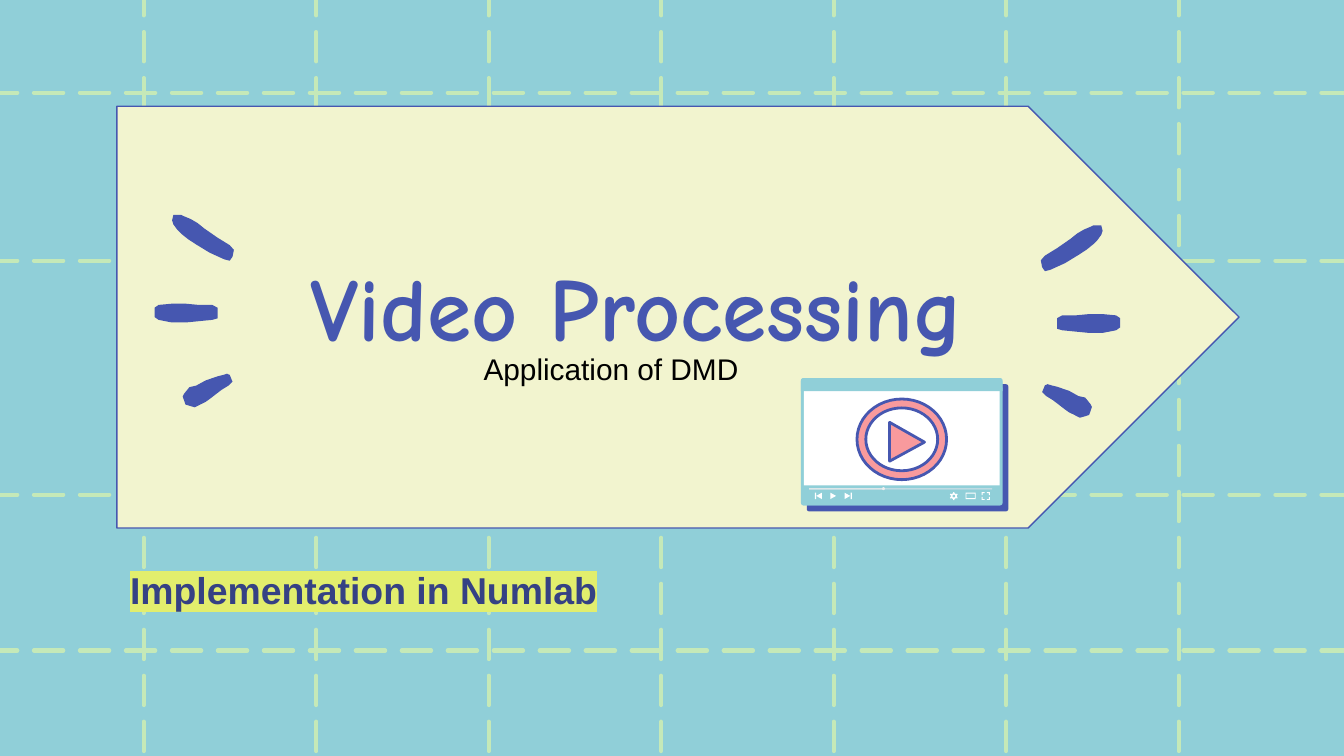
import lxml.etree
import pptx
import pptx.dml.color
import pptx.enum.dml
import pptx.enum.shapes
import pptx.enum.text
import pptx.oxml.ns
import pptx.util

Pt = pptx.util.Pt
SHAPE = pptx.enum.shapes.MSO_SHAPE
ALIGN = pptx.enum.text.PP_ALIGN
ANCHOR = pptx.enum.text.MSO_ANCHOR
qn = pptx.oxml.ns.qn

SKY, MINT, CREAM, INDIGO = "90CFD8", "C5E9B8", "F2F4CF", "4657B0"
PINK, WHITE, PALE = "F89A9D", "FFFFFF", "EEEEEE"

# Brush strokes on the left of the title; the right side mirrors them.
STROKES = [
    [(10.1, 0), (9.4, 2.9), (10.1, 5), (12.2, 7.9), (14.4, 10.1), (18, 13),
     (22.3, 15.8), (29.5, 20.2), (37.4, 23.8), (40.3, 24.5), (41.8, 22.3),
     (42.5, 18.7), (40.3, 16.2), (33.8, 12.2), (26.6, 7.2), (23, 4.3),
     (19.4, 2.2), (15.8, 0.7), (14.4, 0)],
    [(9.4, 47.5), (2.2, 48.2), (0, 49.7), (0, 54.7), (2.2, 56.2), (9.4, 57.6),
     (16.6, 57.6), (23.8, 56.9), (31, 56.2), (33.8, 55.4), (33.8, 49.7),
     (31, 48.2), (23.8, 48.2), (16.6, 47.5)],
    [(38.9, 85), (36.7, 85.7), (33.8, 86.4), (27.4, 88.6), (22.3, 91.4),
     (18.7, 92.2), (15.8, 95.8), (15.1, 97.2), (16.6, 101.5), (18.7, 102.2),
     (21.6, 103), (24.5, 101.5), (27.4, 100.1), (29.5, 98.6), (33.1, 95.8),
     (36, 93.6), (39.6, 91.4), (41.8, 89.3), (40.3, 85.7)],
]


def paint(color_format, value):
    color_format.rgb = pptx.dml.color.RGBColor.from_string(value)


def style(shape, fill, line=None, weight=0.75):
    shape.shadow.inherit = False
    shape.fill.solid()
    paint(shape.fill.fore_color, fill)
    if line:
        paint(shape.line.color, line)
        shape.line.width = Pt(weight)
    else:
        shape.line.fill.background()
    return shape


def add_preset(parent, kind, box, fill, adjustments=(), **outline):
    shape = parent.shapes.add_shape(kind, *map(Pt, box))
    for index, value in enumerate(adjustments):
        shape.adjustments[index] = value
    return style(shape, fill, **outline)


def add_polygon(parent, origin, points, fill, **outline):
    left, top = origin
    corners = [(Pt(left + x), Pt(top + y)) for x, y in points]
    builder = parent.shapes.build_freeform(*corners[0])
    builder.add_line_segments(corners[1:], close=True)
    return style(builder.convert_to_shape(), fill, **outline)


def add_dashed_line(page, start, end):
    line = page.shapes.add_connector(
        pptx.enum.shapes.MSO_CONNECTOR.STRAIGHT, *map(Pt, start + end))
    paint(line.line.color, MINT)
    line.line.width = Pt(2.25)
    line.line.dash_style = pptx.enum.dml.MSO_LINE.LONG_DASH
    properties = line._element.spPr
    properties.find(qn("a:ln")).set("cap", "rnd")
    lxml.etree.SubElement(properties, qn("a:effectLst"))


def add_grid(page, box):
    left, top, width, height = box
    for column in range(7):
        x = 77 + 92.4 * column
        add_dashed_line(page, (x, top + height), (x, top))
    for y in (348.5, 265, 139.7, 49.7):
        add_dashed_line(page, (left + width, y), (left, y))


def add_burst(page, box, mirrored=False):
    left, top, width = box
    for stroke in STROKES:
        points = [(width - x if mirrored else x, y) for x, y in stroke]
        add_polygon(page, (left, top), points, INDIGO)


def add_text(page, box, text, size, color, font="Arial", bold=False,
             inset=7.2, align=ALIGN.LEFT, anchor=ANCHOR.TOP):
    frame = page.shapes.add_textbox(*map(Pt, box)).text_frame
    frame.word_wrap = True
    frame.vertical_anchor = anchor
    frame.margin_top = frame.margin_bottom = Pt(inset)
    frame.text = text
    para = frame.paragraphs[0]
    para.alignment = align
    span = para.runs[0]
    span.font.name = font
    span.font.size = Pt(size)
    span.font.bold = bold
    paint(span.font.color, color)
    return span


def highlight(span, value):
    mark = lxml.etree.Element(qn("a:highlight"))
    lxml.etree.SubElement(mark, qn("a:srgbClr"), val=value)
    span.font._element.find(qn("a:solidFill")).addnext(mark)


def add_hard_shadow(shape, value, distance, degrees):
    effects = shape._element.spPr.find(qn("a:effectLst"))
    shadow = lxml.etree.SubElement(
        effects, qn("a:outerShdw"), dist=str(Pt(distance)),
        dir=str(degrees * 60000), algn="bl", rotWithShape="0")
    lxml.etree.SubElement(shadow, qn("a:srgbClr"), val=value)


def add_controls(player, box):
    """Progress line and button icons, in the bar at the foot of the player."""
    left, top, width, height = box
    add_preset(player, SHAPE.RECTANGLE, box, SKY)
    add_preset(player, SHAPE.RECTANGLE, (left + 3.2, top + 1.6, 98, 0.6), "D9E2E9")
    add_preset(player, SHAPE.RECTANGLE, (left + 3.2, top + 1.6, 40, 0.6), PALE)
    add_preset(player, SHAPE.OVAL, (left + 42.2, top + 1, 1.6, 1.6), PALE)

    icon_top = top + 4
    triangle = [(0, 0), (0, 3.4), (3, 1.7)]
    for x in (14.6, 22.2):
        add_polygon(player, (left + x, icon_top), triangle, WHITE)
    add_polygon(player, (left + 10, icon_top), [(-x, y) for x, y in triangle], WHITE)
    for x in (6.3, 25.4):
        add_preset(player, SHAPE.RECTANGLE, (left + x, icon_top, 0.7, 3.4), WHITE)

    add_preset(player, SHAPE.GEAR_6, (left + 78.4, icon_top - 0.4, 4.6, 4.4), WHITE)
    add_preset(player, SHAPE.OVAL, (left + 80, icon_top + 1.1, 1.4, 1.4), SKY)
    add_preset(player, SHAPE.FRAME, (left + 87, icon_top, 5.4, 3.4), WHITE, [0.13])

    corner = [(0, 0), (1.6, 0), (1.6, 0.5), (0.5, 0.5), (0.5, 1.6), (0, 1.6)]
    for x, x_sign in ((95.6, 1), (100, -1)):
        for y, y_sign in ((-0.3, 1), (3.9, -1)):
            points = [(px * x_sign, py * y_sign) for px, py in corner]
            add_polygon(player, (left + x, icon_top + y), points, WHITE)


def add_video_player(page, box):
    left, top, width, height = box
    player = page.shapes.add_group_shape()
    body = add_preset(player, SHAPE.ROUNDED_RECTANGLE, box, SKY, [0.02])
    add_hard_shadow(body, INDIGO, 4.5, 46)
    add_preset(player, SHAPE.ROUNDED_RECTANGLE,
               (left + 1.6, top + 1, width - 3.2, height - 2.4), WHITE, [0.02])
    add_preset(player, SHAPE.ROUND_2_SAME_RECTANGLE, (left, top, width, 7), SKY, [0.2])
    add_preset(player, SHAPE.DONUT, (left + 30, top + 11.2, 48, 43.2), PINK, [0.11],
               line=INDIGO, weight=1.5)
    add_polygon(player, (left + 47.5, top + 23.7), [(0, 0), (0, 20.8), (18.7, 10.6)],
                PINK, line=INDIGO, weight=1.5)
    add_controls(player, (left + 1.2, top + height - 10.8, width - 2.4, 10.8))


def add_title_slide(deck):
    page = deck.slides.add_slide(deck.slide_layouts[6])
    page.background.fill.solid()
    paint(page.background.fill.fore_color, SKY)
    add_grid(page, (-16.6, -21.6, 740.2, 448.6))
    add_preset(page, SHAPE.PENTAGON, (62.6, 56.9, 601.2, 226), CREAM, [0.5], line=INDIGO)
    add_burst(page, (82.8, 115.2, 42.5))
    add_burst(page, (557.6, 120.8, 42.5), mirrored=True)
    caption = add_text(page, (62.6, 296.6, 488.2, 48.2), "Implementation in Numlab",
                       20, "354184", bold=True)
    highlight(caption, "E2EE6D")
    add_text(page, (124.6, 56.9, 432.7, 213.8), "Video Processing", 48, INDIGO,
             font="Comic Neue", bold=True, align=ALIGN.CENTER, anchor=ANCHOR.MIDDLE)
    add_text(page, (252, 184.3, 216, 26.6), "Application of DMD", 16, "000000", inset=3.6)
    add_video_player(page, (429.1, 202.6, 108, 68.2))


def main():
    deck = pptx.Presentation()
    deck.slide_width, deck.slide_height = Pt(720), Pt(405)
    add_title_slide(deck)
    deck.save("out.pptx")


if __name__ == "__main__":
    main()
